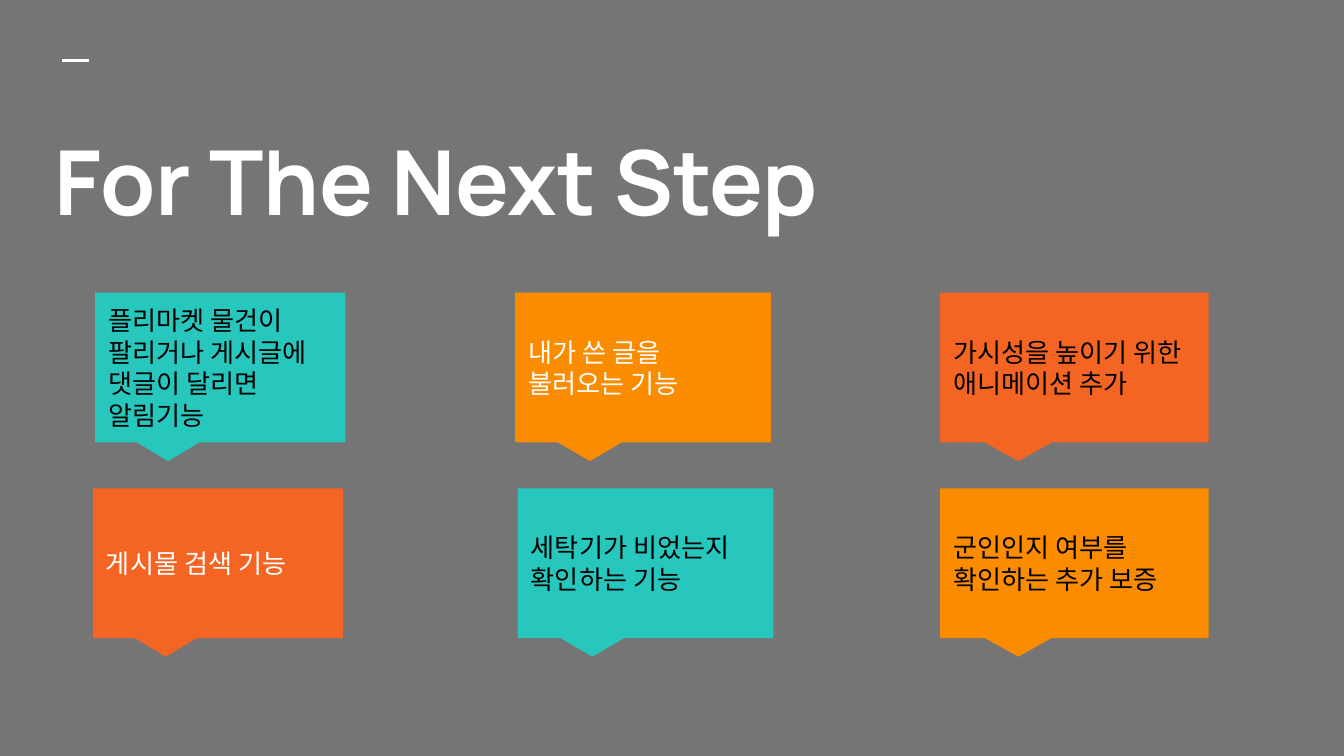
from dataclasses import dataclass

from lxml.etree import SubElement
from pptx import Presentation
from pptx.dml.color import RGBColor
from pptx.enum.shapes import MSO_CONNECTOR as Connector, MSO_SHAPE as Shape
from pptx.enum.text import MSO_ANCHOR as Anchor, PP_ALIGN as Align
from pptx.oxml.ns import qn
from pptx.util import Pt


@dataclass(frozen=True)
class Theme:
    background: RGBColor = RGBColor(0x75, 0x75, 0x75)
    white: RGBColor = RGBColor(0xFF, 0xFF, 0xFF)
    black: RGBColor = RGBColor(0, 0, 0)
    teal: RGBColor = RGBColor(0x27, 0xC7, 0xBD)
    amber: RGBColor = RGBColor(0xFB, 0x8C, 0x00)
    orange: RGBColor = RGBColor(0xF4, 0x65, 0x24)
    font: str = "Manrope"
    title_size: int = 48
    body_size: int = 14
    inset: float = 7.2


THEME = Theme()

# Each idea: text, fill, text colour, shift from its column's left edge
IDEA_ROWS = [
    [
        ("플리마켓 물건이 팔리거나 게시글에 댓글이 달리면 알림기능", THEME.teal, THEME.black, 0),
        ("내가 쓴 글을 불러오는 기능", THEME.amber, THEME.white, 0),
        ("가시성을 높이기 위한 애니메이션 추가", THEME.orange, THEME.black, 0),
    ],
    [
        ("게시물 검색 기능", THEME.orange, THEME.white, -1.3),
        ("세탁기가 비었는지 확인하는 기능", THEME.teal, THEME.black, 1.3),
        ("군인인지 여부를 확인하는 추가 보증", THEME.amber, THEME.black, 0),
    ],
]
COLUMNS = [(0, 134), (225, 137), (452.5, 144)]  # offset from the grid, width


def write_text(shape, text, size, color, bold=False):
    frame = shape.text_frame
    frame.word_wrap = True
    frame.vertical_anchor = Anchor.MIDDLE
    frame.margin_left = frame.margin_right = Pt(THEME.inset)
    frame.margin_top = frame.margin_bottom = Pt(THEME.inset)
    paragraph = frame.paragraphs[0]
    paragraph.alignment = Align.LEFT
    run = paragraph.add_run()
    run.text = text
    run.font.name = THEME.font
    run.font.size = Pt(size)
    run.font.bold = bold
    run.font.color.rgb = color


def add_header(slide, left, top, width, height):
    """Place the short rule and, below it, the title."""
    rule_left = left + 11.2
    rule = slide.shapes.add_connector(
        Connector.STRAIGHT, Pt(rule_left), Pt(top), Pt(rule_left + 14.4), Pt(top)
    )
    rule.line.color.rgb = THEME.white
    rule.line.width = Pt(1.5)
    SubElement(rule._element.spPr, qn("a:effectLst"))

    title_gap = 23.8
    title = slide.shapes.title
    title.left, title.top = Pt(left), Pt(top + title_gap)
    title.width, title.height = Pt(width), Pt(height - title_gap)
    write_text(title, "For The Next Step", THEME.title_size, THEME.white, bold=True)


def add_callout(slide, left, top, width, height, text, fill, color):
    callout = slide.shapes.add_shape(
        Shape.RECTANGULAR_CALLOUT, Pt(left), Pt(top), Pt(width), Pt(height)
    )
    callout.adjustments[0] = -0.208
    callout.adjustments[1] = 0.625
    callout.shadow.inherit = False
    callout.fill.solid()
    callout.fill.fore_color.rgb = fill
    callout.line.fill.background()
    write_text(callout, text, THEME.body_size, color)


def add_idea_grid(slide, left, top, height):
    row_gap = 24.6
    row_height = (height - row_gap) / len(IDEA_ROWS)
    for row, ideas in enumerate(IDEA_ROWS):
        row_top = top + row * (row_height + row_gap)
        for (offset, width), (text, fill, color, shift) in zip(COLUMNS, ideas):
            add_callout(slide, left + offset + shift, row_top, width, row_height,
                        text, fill, color)


def main():
    presentation = Presentation()
    presentation.slide_width, presentation.slide_height = Pt(720), Pt(405)
    title_only = presentation.slide_layouts[5]
    slide = presentation.slides.add_slide(title_only)
    slide.background.fill.solid()
    slide.background.fill.fore_color.rgb = THEME.background
    add_header(slide, left=22.2, top=32.4, width=679, height=104.4)
    add_idea_grid(slide, left=51, top=156.8, height=185)
    presentation.save("out.pptx")


if __name__ == "__main__":
    main()
